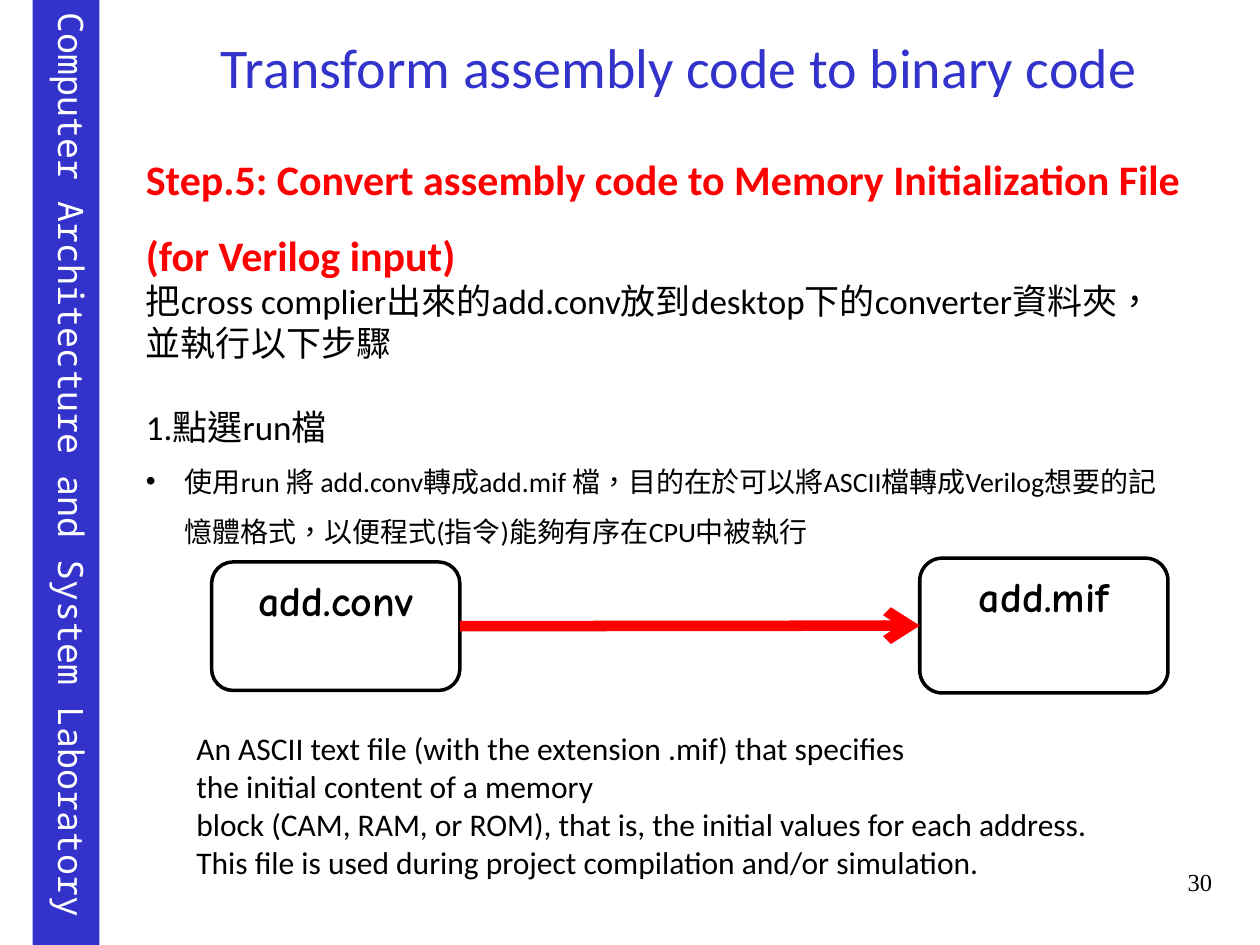
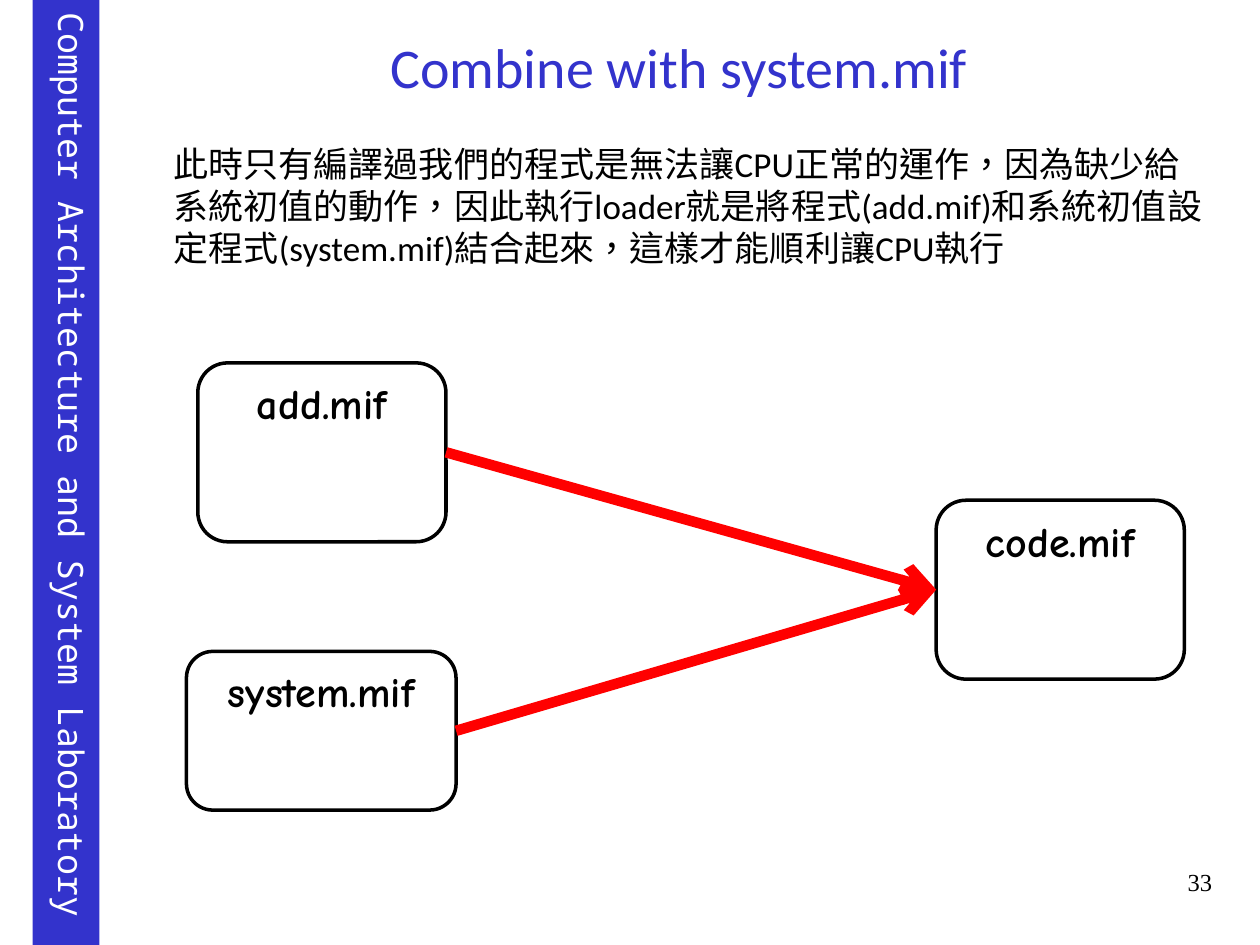
from dataclasses import dataclass

from lxml.etree import SubElement
from pptx import Presentation
from pptx.dml.color import RGBColor
from pptx.enum.shapes import MSO_CONNECTOR, MSO_SHAPE
from pptx.enum.text import MSO_ANCHOR, MSO_AUTO_SIZE, PP_ALIGN
from pptx.oxml.ns import qn
from pptx.util import Inches, Pt


@dataclass(frozen=True)
class Theme:
    """Colours, fonts and type sizes shared by the slides."""

    blue: RGBColor = RGBColor(0x33, 0x33, 0xCC)
    red: RGBColor = RGBColor(0xFF, 0, 0)
    black: RGBColor = RGBColor(0, 0, 0)
    white: RGBColor = RGBColor(0xFF, 0xFF, 0xFF)
    body_font: str = "Calibri"
    file_font: str = "Comic Neue"
    band_font: str = "Noto Sans Mono"
    number_font: str = "Times New Roman"
    title_size: int = 32
    heading_size: int = 24
    body_size: int = 20
    note_size: int = 18
    detail_size: int = 16
    number_size: int = 14
    outline: int = 2
    arrow: int = 6


THEME = Theme()
LAB_NAME = "Computer Architecture and System Laboratory "
CHINESE = "zh-TW"
TITLE_ONLY = 5
LEFT_SIDE, RIGHT_SIDE = 1, 3


def write(frame, text, *, size=THEME.body_size, color=THEME.black,
          font=THEME.body_font, bold=False, align=PP_ALIGN.LEFT,
          spacing=None, before=0, bullet=None, language="en-US"):
    """Write one formatted paragraph at the end of a text frame."""
    paragraph = frame.add_paragraph() if frame.text else frame.paragraphs[0]
    paragraph.alignment = align
    paragraph.line_spacing = spacing
    paragraph.space_before = Pt(before)
    run = paragraph.add_run()
    run.text = text
    run.font.name = font
    run.font.size = Pt(size)
    run.font.bold = bold
    run.font.color.rgb = color
    run._r.get_or_add_rPr().set("lang", language)
    if bullet:
        properties = paragraph._p.get_or_add_pPr()
        properties.set("marL", str(Inches(0.31)))
        properties.set("indent", str(Inches(-0.31)))
        SubElement(properties, qn("a:buFont"), typeface="Arial")
        SubElement(properties, qn("a:buChar"), char=bullet)


def add_text_area(slide, left, top, width, height, wrap=True):
    """Add a text box and return its text frame."""
    area = slide.shapes.add_textbox(
        Inches(left), Inches(top), Inches(width), Inches(height))
    area.text_frame.word_wrap = wrap
    area.text_frame.auto_size = MSO_AUTO_SIZE.SHAPE_TO_FIT_TEXT
    return area.text_frame


def add_panel(slide, preset, left, top, width, height, fill):
    """Add a flat filled shape whose text starts at the top."""
    panel = slide.shapes.add_shape(
        preset, Inches(left), Inches(top), Inches(width), Inches(height))
    panel.shadow.inherit = False
    panel.fill.solid()
    panel.fill.fore_color.rgb = fill
    panel.text_frame.vertical_anchor = MSO_ANCHOR.TOP
    return panel


def add_lab_band(slide):
    """Add the vertical band with the laboratory name."""
    band = add_panel(slide, MSO_SHAPE.RECTANGLE, 0.26, 0, 0.53, 7.5, THEME.blue)
    band.line.fill.background()
    band.text_frame._txBody.bodyPr.set("vert", "eaVert")
    write(band.text_frame, LAB_NAME, font=THEME.band_font, color=THEME.white,
          align=PP_ALIGN.CENTER)


def add_file_box(slide, file_name, left, top, width, height):
    """Add a rounded box that stands for a file."""
    box = add_panel(slide, MSO_SHAPE.ROUNDED_RECTANGLE,
                    left, top, width, height, THEME.white)
    box.line.color.rgb = THEME.black
    box.line.width = Pt(THEME.outline)
    write(box.text_frame, file_name, size=THEME.heading_size,
          font=THEME.file_font, bold=True, align=PP_ALIGN.CENTER)
    return box


def add_flow_arrow(slide, source, target):
    """Join the right side of one file box to the left side of another."""
    arrow = slide.shapes.add_connector(MSO_CONNECTOR.STRAIGHT, 0, 0, 0, 0)
    arrow.begin_connect(source, RIGHT_SIDE)
    arrow.end_connect(target, LEFT_SIDE)
    arrow.line.color.rgb = THEME.red
    arrow.line.width = Pt(THEME.arrow)
    SubElement(arrow.line._get_or_add_ln(), qn("a:tailEnd"), type="arrow")
    SubElement(arrow._element.spPr, qn("a:effectLst"))


def add_lab_slide(deck, title_text, number, title_height):
    """Add a slide with the shared band, title and slide number."""
    slide = deck.slides.add_slide(deck.slide_layouts[TITLE_ONLY])
    add_lab_band(slide)
    title = slide.shapes.title
    title.left, title.top = Inches(1.06), Inches(0.21)
    title.width, title.height = Inches(8.66), Inches(title_height)
    title.text_frame.vertical_anchor = MSO_ANCHOR.TOP
    title.text_frame.auto_size = MSO_AUTO_SIZE.NONE
    write(title.text_frame, title_text, size=THEME.title_size,
          color=THEME.blue, align=PP_ALIGN.CENTER)
    page = add_text_area(slide, 7.39, 6.83, 2.33, 0.52)
    page.auto_size = MSO_AUTO_SIZE.NONE
    write(page, str(number), size=THEME.number_size,
          font=THEME.number_font, align=PP_ALIGN.RIGHT)
    return slide


def build_convert_slide(deck):
    """Build the slide on converting add.conv to add.mif."""
    slide = add_lab_slide(deck, "Transform assembly code to binary code", 30, 1.02)
    steps = add_text_area(slide, 1.06, 0.97, 8.43, 4.68)
    write(steps, "Step.5: Convert assembly code to Memory Initialization File "
          "(for Verilog input)", size=THEME.heading_size, color=THEME.red,
          bold=True, spacing=1.5)
    write(steps, "把cross complier出來的add.conv放到desktop下的converter資料夾，"
          "並執行以下步驟", language=CHINESE)
    write(steps, "1.點選run檔", before=24, language=CHINESE)
    write(steps, "使用run 將 add.conv轉成add.mif 檔，目的在於可以將ASCII檔轉成"
          "Verilog想要的記憶體格式，以便程式(指令)能夠有序在CPU中被執行",
          size=THEME.detail_size, spacing=1.5, bullet="•", language=CHINESE)

    conv = add_file_box(slide, "add.conv", 1.68, 4.46, 1.97, 1.02)
    mif = add_file_box(slide, "add.mif", 7.3, 4.43, 1.97, 1.07)
    add_flow_arrow(slide, conv, mif)

    mif_note = add_text_area(slide, 1.46, 5.74, 7.35, 1.31, wrap=False)
    for line in (
        "An ASCII text file (with the extension .mif) that specifies",
        "the initial content of a memory",
        "block (CAM, RAM, or ROM), that is, the initial values for each address.",
        "This file is used during project compilation and/or simulation.",
    ):
        write(mif_note, line, size=THEME.note_size)


def build_combine_slide(deck):
    """Build the slide on combining add.mif with system.mif."""
    slide = add_lab_slide(deck, "Combine with system.mif", 33, 0.79)
    reason = add_text_area(slide, 1.28, 1.08, 8.43, 1.11)
    write(reason, "此時只有編譯過我們的程式是無法讓CPU正常的運作，因為缺少給系統初值的"
          "動作，因此執行loader就是將程式(add.mif)和系統初值設定程式(system.mif)"
          "結合起來，這樣才能順利讓CPU執行", language=CHINESE)

    program = add_file_box(slide, "add.mif", 1.57, 2.88, 1.97, 1.42)
    system = add_file_box(slide, "system.mif", 1.48, 5.17, 2.14, 1.26)
    code = add_file_box(slide, "code.mif", 7.43, 3.97, 1.97, 1.42)
    for source in (program, system):
        add_flow_arrow(slide, source, code)


def main():
    """Build and save the deck."""
    deck = Presentation()
    deck.slide_width, deck.slide_height = Inches(10), Inches(7.5)
    build_convert_slide(deck)
    build_combine_slide(deck)
    deck.save("out.pptx")


if __name__ == "__main__":
    main()
